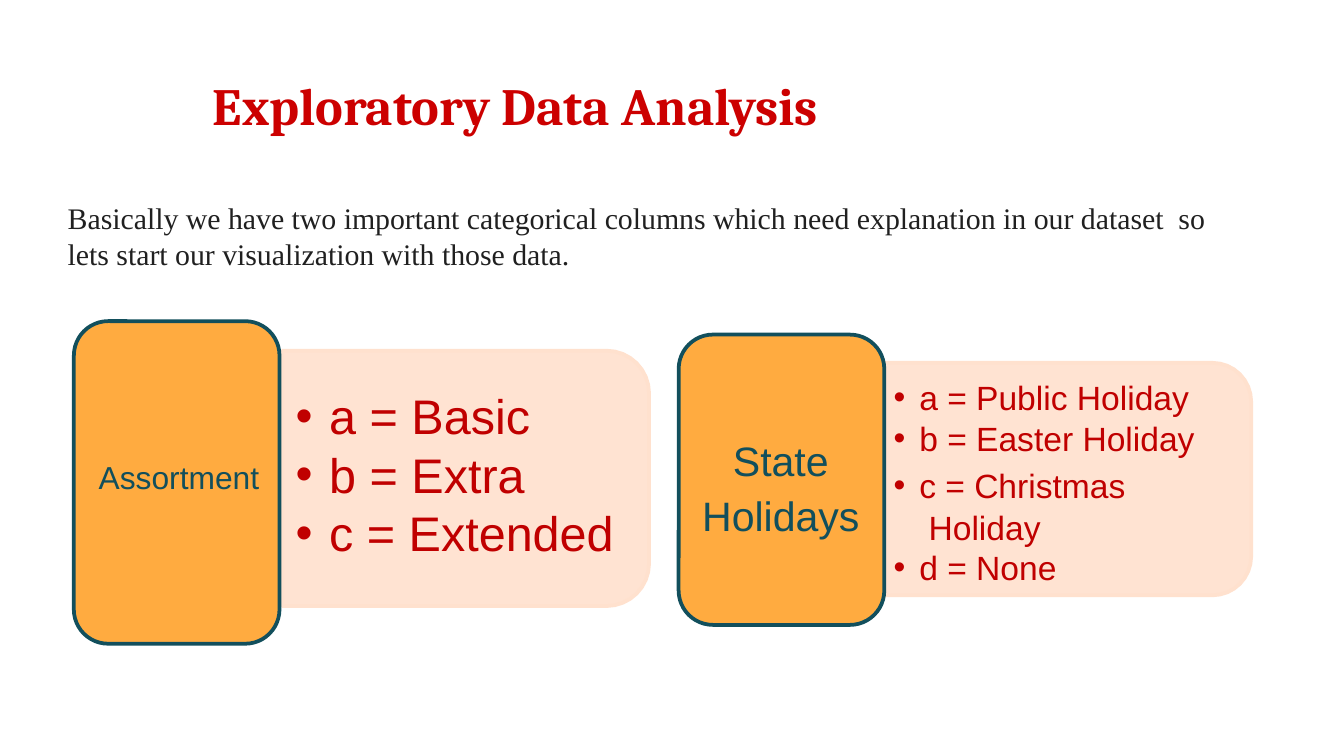
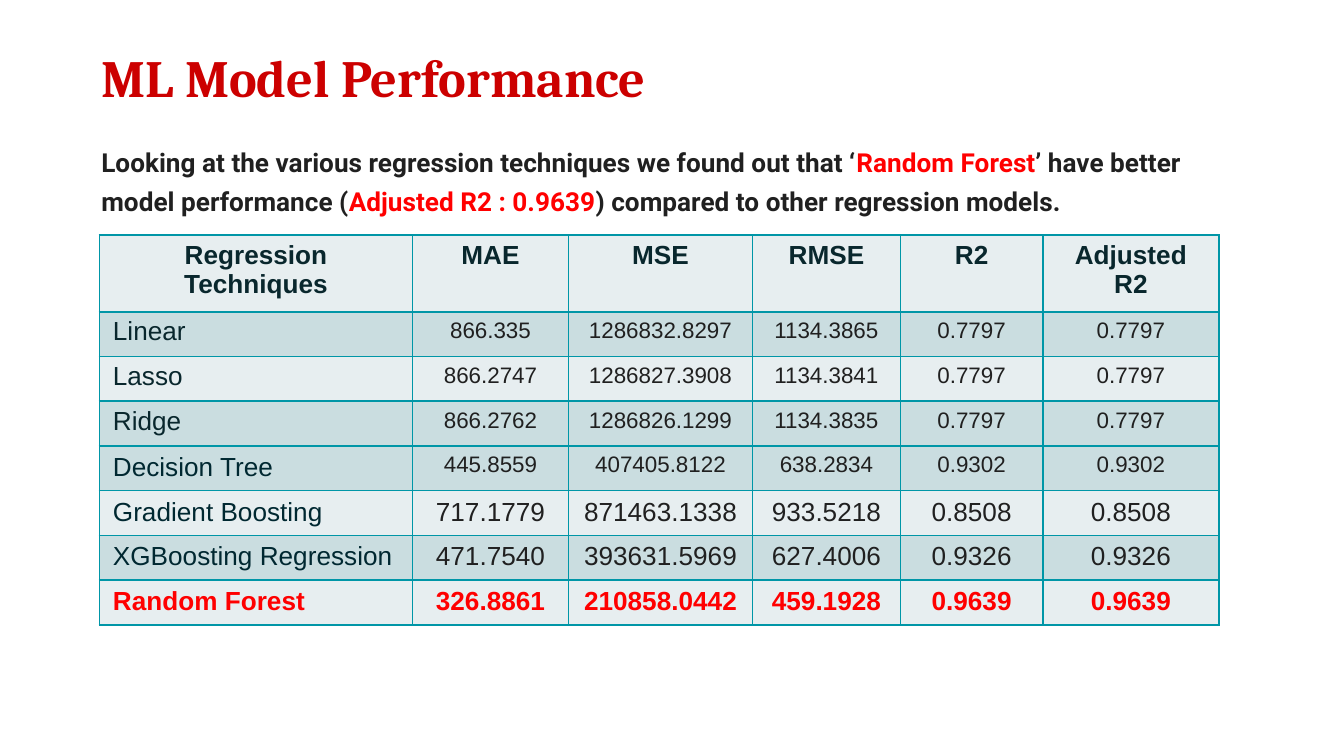
from math import cos, pi, sin
from lxml.etree import SubElement
from pptx import Presentation
from pptx.dml.color import RGBColor
from pptx.enum.shapes import MSO_SHAPE
from pptx.enum.text import MSO_ANCHOR, MSO_AUTO_SIZE, PP_ALIGN
from pptx.oxml.ns import qn
from pptx.util import Inches, Pt

COLORS = {
    "title": "CC0000", "body": "202020", "bullet": "C00000", "teal": "124F5C",
    "card": "FFAB40", "panel": "FFE1CE", "accent": "FF0000", "border": "0096A7",
    "label": "09272D", "label_dark": "002831", "light": "E7EEF0", "dark": "CADDE0",
}
HAIR = 1 / 72

INTRO = ("Basically we have two important categorical columns which need explanation "
         "in our dataset  so lets start our visualization with those data.")

GROUPS = [
    {"card": (0.55, 2.39, 1.53, 2.4), "panel": (2.1, 2.61, 2.73, 1.9),
     "name": ["Assortment"], "name_box": (0.72, 3.39, 1.22, 0.31),
     "name_format": {"size": 17, "indent": (HAIR, 0)},
     "items": ["a = Basic", "b = Extra", "c = Extended"],
     "items_box": (2.19, 2.86, 2.4, 1.33),
     "items_format": {"size": 26, "indent": (0.26, -0.25), "before": (0, 0.2, 0.1)}},
    {"card": (5.05, 2.49, 1.53, 2.16), "panel": (6.58, 2.7, 2.73, 1.73),
     "name": ["State", "Holidays"], "name_box": (5.21, 3.18, 1.2, 0.71),
     "name_format": {"size": 22, "align": PP_ALIGN.CENTER, "spacing": (1.12, 1.12)},
     "items": ["a = Public Holiday", "b = Easter Holiday",
               "c = Christmas \u00a0Holiday", "d = None"],
     "items_box": (6.64, 2.79, 2.26, 1.49),
     "items_format": {"size": 18, "indent": (0.2, -0.19), "before": (0, 0.3, 3.2, 0),
                      "spacing": (1, 1, 1.03, 1)}},
]

FINDING = [
    [("Looking at the various regression techniques we found out that ‘", "body"),
     ("Random Forest", "accent"), ("’ have better", "body")],
    [("model performance (", "body"), ("Adjusted R2 : 0.9639", "accent"),
     (") compared to other regression models.", "body")],
]

HEADER = [["Regression", "Techniques"], ["MAE"], ["MSE"], ["RMSE"], ["R2"], ["Adjusted", "R2"]]
WIDTHS = [2.33, 1.16, 1.37, 1.1, 1.06, 1.31]
TABLE_HEIGHT, HEADER_HEIGHT = 2.9, 0.57
MODELS = [
    ("Linear", "866.335", "1286832.8297", "1134.3865", "0.7797", "0.7797"),
    ("Lasso", "866.2747", "1286827.3908", "1134.3841", "0.7797", "0.7797"),
    ("Ridge", "866.2762", "1286826.1299", "1134.3835", "0.7797", "0.7797"),
    ("Decision Tree", "445.8559", "407405.8122", "638.2834", "0.9302", "0.9302"),
    ("Gradient Boosting", "717.1779", "871463.1338", "933.5218", "0.8508", "0.8508"),
    ("XGBoosting Regression", "471.7540", "393631.5969", "627.4006", "0.9326", "0.9326"),
    ("Random Forest", "326.8861", "210858.0442", "459.1928", "0.9639", "0.9639"),
]
ROW_FILLS = ["dark", "light", "dark", "dark", "light", "dark", "light"]


def rgb(name):
    return RGBColor.from_string(COLORS[name])


def write(tf, paragraphs, size=14, font="Arial", color="body", bold=False,
          align=PP_ALIGN.LEFT, indent=(0, 0), before=(), spacing=(), bullet=None):
    for i, runs in enumerate(paragraphs):
        p = tf.paragraphs[0] if i == 0 else tf.add_paragraph()
        p.alignment = align
        p.space_before = Pt(before[i] if before else 0)
        p.line_spacing = spacing[i] if spacing else 1.0
        pPr = p._p.get_or_add_pPr()
        pPr.set("marL", str(Inches(indent[0])))
        pPr.set("indent", str(Inches(indent[1])))
        if bullet:
            clr = SubElement(pPr, qn("a:buClr"))
            SubElement(clr, qn("a:srgbClr"), val=COLORS[color])
            SubElement(pPr, qn("a:buFont"), typeface=font)
            SubElement(pPr, qn("a:buChar"), char=bullet)
        for text, run_color in [(runs, color)] if isinstance(runs, str) else runs:
            r = p.add_run()
            r.text = text
            r.font.size, r.font.name, r.font.bold = Pt(size), font, bold
            r.font.color.rgb = rgb(run_color)


def place(sp, box, top=HAIR):
    sp.left, sp.top, sp.width, sp.height = map(Inches, box)
    tf = sp.text_frame
    tf.word_wrap = True
    tf.auto_size = MSO_AUTO_SIZE.SHAPE_TO_FIT_TEXT
    tf.vertical_anchor = MSO_ANCHOR.TOP
    tf.margin_left = tf.margin_right = tf.margin_bottom = 0
    tf.margin_top = Inches(top)
    return tf


def add_text(s, box, paragraphs, top=HAIR, **fmt):
    write(place(s.shapes.add_textbox(0, 0, 0, 0), box, top), paragraphs, **fmt)


def add_slide(prs, title, box):
    s = prs.slides.add_slide(prs.slide_layouts[5])
    write(place(s.shapes.title, box), [title], size=28, font="Cambria",
          color="title", bold=True, indent=(HAIR, 0))
    return s


def paint(sp, fill, line):
    sp.shadow.inherit = False
    sp.fill.solid()
    sp.fill.fore_color.rgb = rgb(fill)
    sp.line.color.rgb = rgb(line)
    sp.line.width = Pt(2)


def add_panel(s, x, y, w, h):
    radius, steps = h / 6, 8
    points = []
    for cy, start in ((y + radius, -pi / 2), (y + h - radius, 0)):
        for i in range(steps + 1):
            angle = start + i * pi / 2 / steps
            points.append((x + w - radius + radius * cos(angle), cy + radius * sin(angle)))
    points.append((x, y + h))
    fb = s.shapes.build_freeform(Inches(x), Inches(y))
    fb.add_line_segments([(Inches(px), Inches(py)) for px, py in points], close=True)
    sp = fb.convert_to_shape()
    paint(sp, "panel", "panel")
    clr = sp._element.spPr.find(qn("a:solidFill"))[0]
    SubElement(clr, qn("a:alpha"), val="90000")


def add_card(s, box):
    sp = s.shapes.add_shape(MSO_SHAPE.ROUNDED_RECTANGLE, *map(Inches, box))
    sp.adjustments[0] = 1 / 6
    paint(sp, "card", "teal")


def fill_cell(cell, paragraphs, fill, top=0.05, **fmt):
    cell.margin_left = cell.margin_right = cell.margin_bottom = 0
    cell.margin_top = Inches(top)
    tcPr = cell._tc.get_or_add_tcPr()
    for side in ("lnL", "lnR", "lnT", "lnB"):
        ln = SubElement(tcPr, qn("a:" + side), w=str(Pt(1)))
        SubElement(SubElement(ln, qn("a:solidFill")), qn("a:srgbClr"), val=COLORS["border"])
    cell.fill.solid()
    cell.fill.fore_color.rgb = rgb(fill)
    write(cell.text_frame, paragraphs, **fmt)


def add_model_table(s):
    table = s.shapes.add_table(len(MODELS) + 1, len(WIDTHS), Inches(0.74), Inches(1.75),
                               Inches(sum(WIDTHS)), Inches(TABLE_HEIGHT)).table
    table.first_row = table.horz_banding = False
    for column, width in zip(table.columns, WIDTHS):
        column.width = Inches(width)
    row_height = (TABLE_HEIGHT - HEADER_HEIGHT) / len(MODELS)
    for i, row in enumerate(table.rows):
        row.height = Inches(row_height if i else HEADER_HEIGHT)
    for c, lines in enumerate(HEADER):
        fill_cell(table.cell(0, c), lines, "light", top=0.04, color="label", bold=True,
                  align=PP_ALIGN.CENTER)
    for i, (model, fill) in enumerate(zip(MODELS, ROW_FILLS)):
        best = i == len(MODELS) - 1
        label = "accent" if best else "label" if i < 3 else "label_dark"
        fill_cell(table.cell(i + 1, 0), [model[0]], fill, top=0.04 if i < 3 else 0.05,
                  color=label, bold=best, indent=(0.1, 0))
        for c, value in enumerate(model[1:], 1):
            fill_cell(table.cell(i + 1, c), [value], fill, size=12 if i < 4 else 14,
                      color="accent" if best else "body", bold=best, align=PP_ALIGN.CENTER)


def main():
    """Build the two slides on data exploration and model performance."""
    prs = Presentation()
    prs.slide_width = Inches(10)
    prs.slide_height = Inches(10) * 9 // 16

    s = add_slide(prs, "Exploratory Data Analysis", (1.57, 0.53, 5.43, 0.48))
    add_text(s, (0.49, 1.47, 8.68, 0.56), [INTRO], size=16, font="Times New Roman",
             indent=(HAIR, 0))
    for g in GROUPS:
        add_panel(s, *g["panel"])
        add_text(s, g["items_box"], g["items"], color="bullet", bullet="•", **g["items_format"])
        add_card(s, g["card"])
        add_text(s, g["name_box"], g["name"], color="teal", **g["name_format"])

    s = add_slide(prs, "ML Model Performance", (0.74, 0.32, 5.21, 0.48))
    add_text(s, (0.74, 1.02, 8.05, 0.61), FINDING, top=0.07, font="Roboto", bold=True,
             indent=(HAIR, 0), before=(0, 4.2))
    add_model_table(s)

    prs.save("out.pptx")


main()
